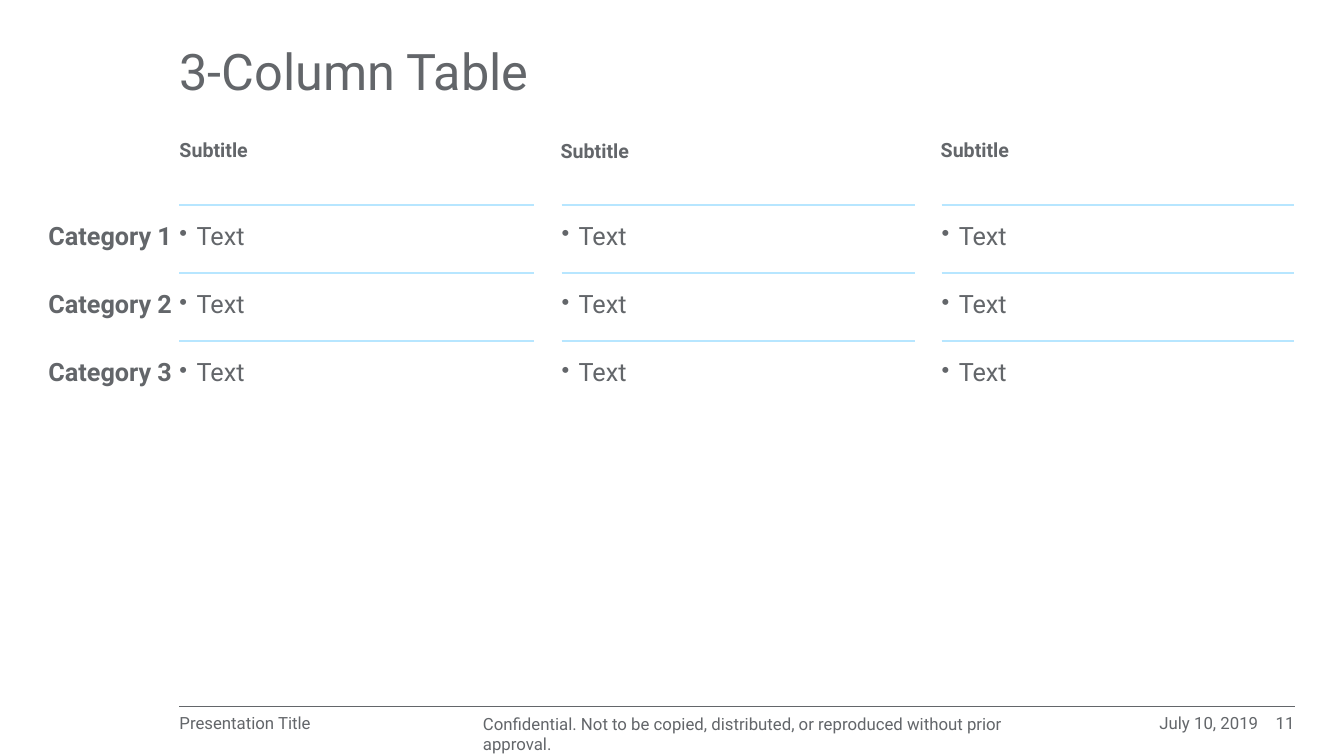
from lxml.etree import SubElement
from pptx import Presentation
from pptx.dml.color import RGBColor
from pptx.enum.shapes import MSO_CONNECTOR
from pptx.enum.text import MSO_ANCHOR, MSO_AUTO_SIZE, PP_ALIGN
from pptx.oxml import parse_xml
from pptx.oxml.ns import nsdecls, qn
from pptx.util import Inches, Pt

GRAY = RGBColor(0x63, 0x66, 0x6A)
LIGHT_BLUE = RGBColor(0xB7, 0xE6, 0xFF)
FONT = "Roboto"
NO_TABLE_STYLE = "{2D5ABB26-0587-4C30-8999-92F81FD0307C}"
COMPARISON_LAYOUT = 4

LEFT, RIGHT = 1.78, 12.84
FOOTER_TOP = 7.08
CATEGORIES = ["Category 1", "Category 2", "Category 3"]
COLUMN_WIDTHS = [1.3, 3.52, 0.27, 3.51, 0.26, 3.5]
TEXT_COLUMNS = (1, 3, 5)


def set_attributes(target, values):
    for name, value in values.items():
        setattr(target, name, value)


class SlideBuilder:
    def __init__(self, presentation):
        self.slide = presentation.slides.add_slide(
            presentation.slide_layouts[COMPARISON_LAYOUT])
        self.shapes = self.slide.shapes

    def add_text(self, frame, text, size, bold=False, **paragraph_format):
        paragraph = frame.paragraphs[0]
        set_attributes(paragraph, paragraph_format)
        run = paragraph.add_run()
        run.text = text
        set_attributes(run.font, {"name": FONT, "size": Pt(size), "bold": bold})
        run.font.color.rgb = GRAY
        return paragraph

    def prepare_frame(self, frame, anchor):
        set_attributes(frame, {
            "margin_left": 0, "margin_top": 0, "margin_right": 0, "margin_bottom": 0,
            "word_wrap": True, "auto_size": MSO_AUTO_SIZE.NONE,
            "vertical_anchor": anchor})

    def placeholder(self, index, text, box, size, anchor, **text_format):
        shape = self.slide.placeholders[index]
        set_attributes(shape, dict(zip(("left", "top", "width", "height"),
                                       map(Inches, box))))
        self.prepare_frame(shape.text_frame, anchor)
        paragraph = self.add_text(shape.text_frame, text, size, **text_format)
        self.set_bullet(paragraph)

    def set_bullet(self, paragraph, character=None, indent=0):
        """Give the paragraph a hanging bullet, or none without a character."""
        properties = paragraph._p.get_or_add_pPr()
        properties.set("marL", str(Inches(indent)))
        properties.set("indent", str(-Inches(indent)))
        if character:
            SubElement(properties, qn("a:buSzPct")).set("val", "91000")
            SubElement(properties, qn("a:buChar")).set("char", character)
        else:
            SubElement(properties, qn("a:buNone"))

    def text_box(self, text, left, width, **paragraph_format):
        shape = self.shapes.add_textbox(
            *map(Inches, (left, FOOTER_TOP, width, 0.2)))
        self.prepare_frame(shape.text_frame, MSO_ANCHOR.TOP)
        self.add_text(shape.text_frame, text, 12, **paragraph_format)

    def rule(self, top):
        line = self.shapes.add_connector(
            MSO_CONNECTOR.STRAIGHT, *map(Inches, (LEFT, top, RIGHT, top)))
        line.line.color.rgb = GRAY
        line.line.width = Pt(0.25)
        SubElement(line._element.spPr, qn("a:effectLst"))

    def set_borders(self, cell, edges):
        for position, edge in enumerate(edges):
            border = parse_xml(
                f'<a:ln{edge} {nsdecls("a")} w="{Pt(1.5)}"><a:solidFill>'
                f'<a:srgbClr val="{LIGHT_BLUE}"/></a:solidFill></a:ln{edge}>')
            cell._tc.get_or_add_tcPr().insert(position, border)

    def category_table(self, left, top, row_height):
        frame = self.shapes.add_table(
            len(CATEGORIES), len(COLUMN_WIDTHS), Inches(left), Inches(top),
            Inches(sum(COLUMN_WIDTHS)), Inches(row_height * len(CATEGORIES)))
        table = frame.table
        set_attributes(table, {"first_row": False, "horz_banding": False})
        table._tbl.tblPr.find(qn("a:tableStyleId")).text = NO_TABLE_STYLE
        for column, width in zip(table.columns, COLUMN_WIDTHS):
            column.width = Inches(width)
        for row, category in enumerate(CATEGORIES):
            edges = "TB" if row < len(CATEGORIES) - 1 else "T"
            for column in range(len(COLUMN_WIDTHS)):
                cell = table.cell(row, column)
                cell.fill.background()
                set_attributes(cell, {"margin_left": 0, "margin_right": 0,
                                      "margin_top": Inches(0.17),
                                      "margin_bottom": Inches(0.2)})
                if column == 0:
                    self.add_text(cell.text_frame, category, 18, bold=True)
                elif column in TEXT_COLUMNS:
                    paragraph = self.add_text(cell.text_frame, "Text", 18)
                    self.set_bullet(paragraph, "•", 0.17)
                    self.set_borders(cell, edges)

    def remove_empty_placeholders(self):
        for shape in list(self.slide.placeholders):
            if not shape.text_frame.text:
                shape._element.getparent().remove(shape._element)


def main():
    presentation = Presentation()
    presentation.slide_width = Inches(13.33)
    presentation.slide_height = Inches(7.5)
    builder = SlideBuilder(presentation)

    builder.placeholder(0, "3-Column Table", (LEFT, 0.24, 9.84, 1), 36,
                        MSO_ANCHOR.MIDDLE, line_spacing=0.9,
                        alignment=PP_ALIGN.LEFT)
    subtitles = [(1, LEFT, 0.99, 14), (2, 5.56, 0.9, 0), (3, 9.33, 0.99, 14)]
    for index, left, line_spacing, space_before in subtitles:
        builder.placeholder(index, "Subtitle", (left, 1.24, 3.51, 0.37), 14,
                            MSO_ANCHOR.BOTTOM, bold=True,
                            line_spacing=line_spacing,
                            space_before=Pt(space_before))
    builder.remove_empty_placeholders()

    builder.category_table(0.48, 2.03, 0.66)

    builder.rule(7.01)
    builder.text_box("Presentation Title", LEFT, 2.94, line_spacing=0.99)
    builder.text_box("Confidential. Not to be copied, distributed, or reproduced "
                     "without prior approval.", 4.79, 5.64)
    for text, left, width in [("July 10, 2019", 10.43, 2.05), ("11", 12.48, 0.36)]:
        builder.text_box(text, left, width, line_spacing=0.99,
                         alignment=PP_ALIGN.RIGHT)

    presentation.save("out.pptx")


if __name__ == "__main__":
    main()
